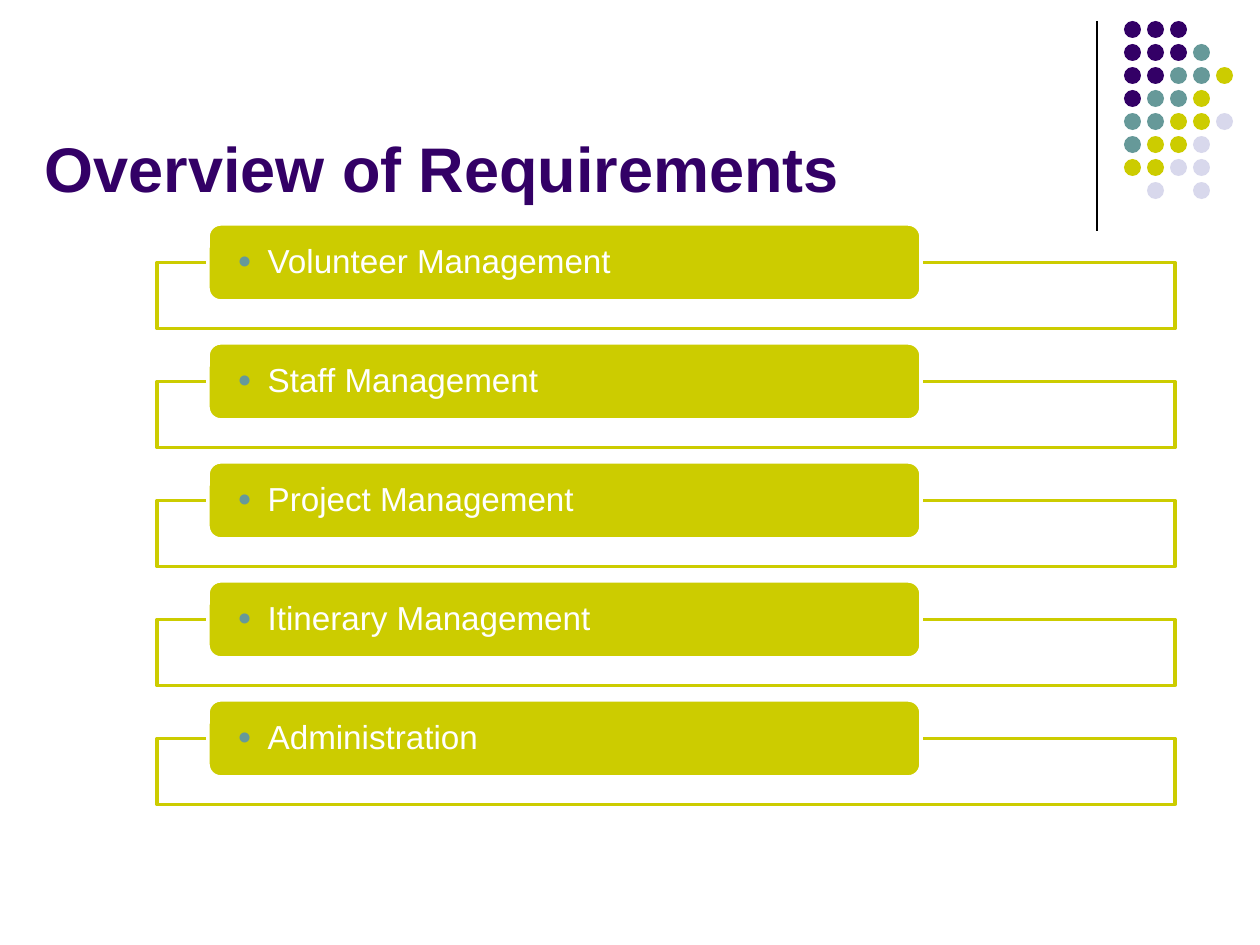
import pptx
import pptx.util
from lxml import etree
from pptx.dml.color import RGBColor
from pptx.enum.shapes import MSO_CONNECTOR, MSO_SHAPE
from pptx.enum.text import MSO_ANCHOR, PP_ALIGN
from pptx.oxml.ns import qn

# Content
TITLE = "Overview of Requirements"
REQUIREMENTS = [
    "Volunteer Management",
    "Staff Management",
    "Project Management",
    "Itinerary Management",
    "Administration",
]
PURPLE, TEAL, LIME, PALE, WHITE = "330066", "669999", "CCCC00", "D8D8EC", "FFFFFF"
DOT_COLOURS = {"P": PURPLE, "T": TEAL, "L": LIME, "G": PALE}
DOT_ROWS = ["PPP", "PPPT", "PPTTL", "PTTL", "TTLLG", "TLLG", "LLGG", ".G.G"]

# Layout in px
DOT_LEFT, DOT_TOP, DOT_PITCH, DOT_SIZE = 1124, 21, 23, 17
BAR_LEFT, BAR_TOP, BAR_WIDTH, BAR_HEIGHT, BAR_PITCH = 208, 224, 713, 77, 119
FRAME_LEFT, FRAME_WIDTH, FRAME_HEIGHT = 157, 1018, 66
BAR_INSET, BULLET_INDENT = 30, 30


def px(length):
    return pptx.util.Emu(round(length * 914400 / 126))


def colour(value):
    return RGBColor.from_string(value)


def format_run(run, size, value, bold=False):
    run.font.name = "Arial"
    run.font.size = pptx.util.Pt(size)
    run.font.bold = bold
    run.font.color.rgb = colour(value)


def add_shape(kind, left, top, width, height, fill, line=None):
    shape = slide.shapes.add_shape(kind, px(left), px(top), px(width), px(height))
    shape.shadow.inherit = False
    shape.fill.solid()
    shape.fill.fore_color.rgb = colour(fill)
    if line:
        shape.line.color.rgb = colour(line)
        shape.line.width = pptx.util.Pt(2)
    else:
        shape.line.fill.background()
    return shape


def add_bullet(paragraph):
    properties = paragraph._p.get_or_add_pPr()
    properties.set("marL", str(px(BULLET_INDENT)))
    properties.set("indent", str(-px(BULLET_INDENT)))
    bullet_colour = etree.SubElement(properties, qn("a:buClr"))
    etree.SubElement(bullet_colour, qn("a:srgbClr"), val=TEAL)
    etree.SubElement(properties, qn("a:buSzPct"), val="70000")
    etree.SubElement(properties, qn("a:buFont"), typeface="Arial")
    etree.SubElement(properties, qn("a:buChar"), char="●")


presentation = pptx.Presentation()
presentation.slide_width, presentation.slide_height = px(1260), px(945)
slide = presentation.slides.add_slide(presentation.slide_layouts[5])

# Vertical rule
rule = slide.shapes.add_connector(
    MSO_CONNECTOR.STRAIGHT, px(1097), px(21), px(1097), px(231))
rule.line.color.rgb = colour("000000")
rule.line.width = pptx.util.Pt(0.75)
etree.SubElement(rule._element.spPr, qn("a:effectLst"))

# Corner dots
for row, letters in enumerate(DOT_ROWS):
    for column, letter in enumerate(letters):
        if letter in DOT_COLOURS:
            add_shape(MSO_SHAPE.OVAL, DOT_LEFT + column * DOT_PITCH,
                      DOT_TOP + row * DOT_PITCH, DOT_SIZE, DOT_SIZE,
                      DOT_COLOURS[letter])

# Title
title = slide.shapes.title
title.left, title.top, title.width, title.height = px(32), px(32), px(1061), px(179)
title.text_frame.text = TITLE
title.text_frame.vertical_anchor = MSO_ANCHOR.BOTTOM
title_paragraph = title.text_frame.paragraphs[0]
title_paragraph.alignment = PP_ALIGN.LEFT
format_run(title_paragraph.runs[0], 36, PURPLE, bold=True)

# Requirements: an outlined frame with a labelled bar over its top edge
for index, requirement in enumerate(REQUIREMENTS):
    top = BAR_TOP + index * BAR_PITCH
    add_shape(MSO_SHAPE.RECTANGLE, FRAME_LEFT, top + BAR_HEIGHT / 2,
              FRAME_WIDTH, FRAME_HEIGHT, WHITE, LIME)
    bar = add_shape(MSO_SHAPE.ROUNDED_RECTANGLE, BAR_LEFT, top,
                    BAR_WIDTH, BAR_HEIGHT, LIME, WHITE)
    frame = bar.text_frame
    frame.text = requirement
    frame.word_wrap = True
    frame.vertical_anchor = MSO_ANCHOR.MIDDLE
    # The rounded corners already inset the text by a few px
    frame.margin_left = frame.margin_right = px(BAR_INSET - 4)
    frame.margin_top = frame.margin_bottom = 0
    paragraph = frame.paragraphs[0]
    paragraph.alignment = PP_ALIGN.LEFT
    paragraph.line_spacing = 0.9
    add_bullet(paragraph)
    format_run(paragraph.runs[0], 19, WHITE)

presentation.save("out.pptx")
